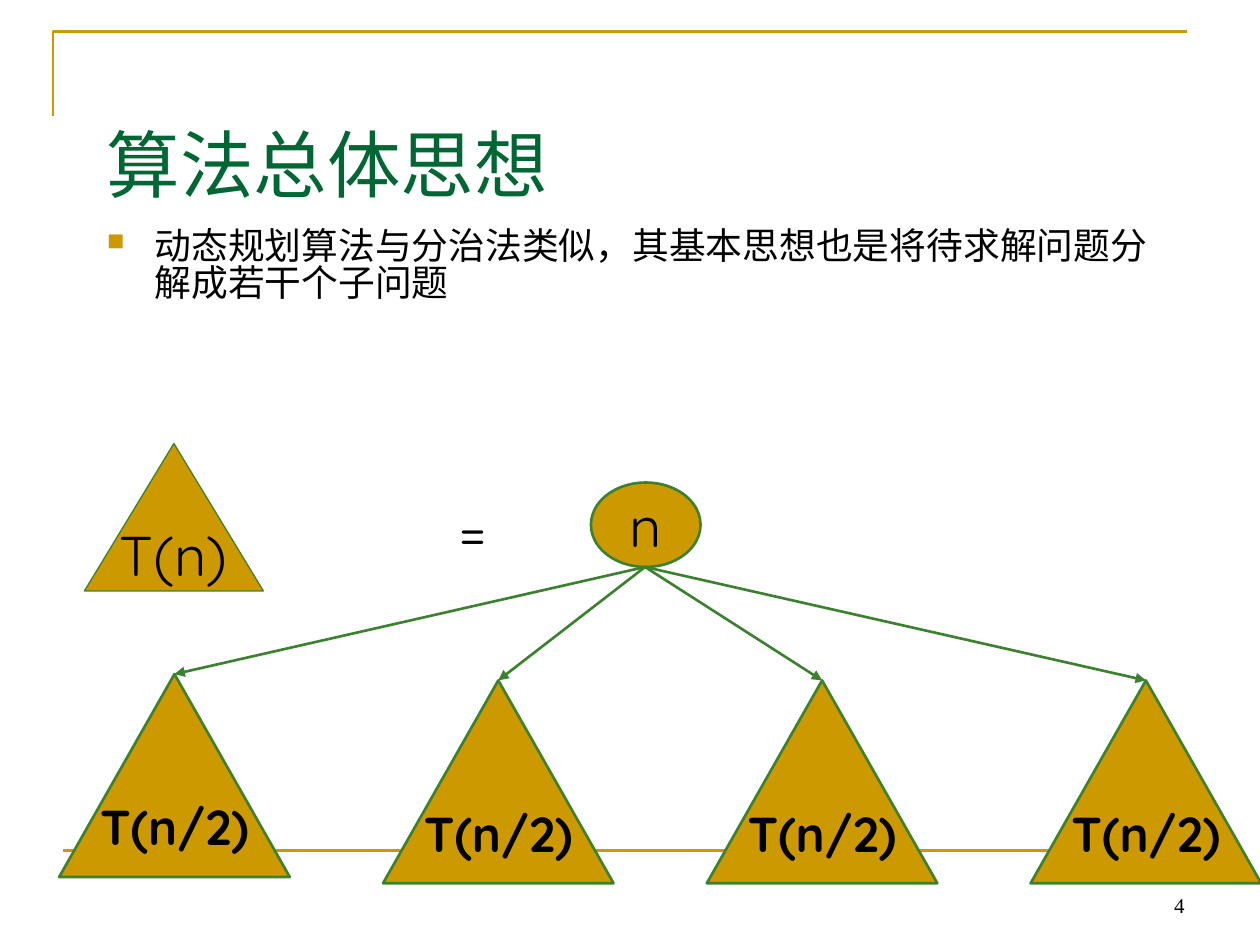
from lxml.etree import SubElement
from pptx import Presentation
from pptx.dml.color import RGBColor
from pptx.enum.shapes import MSO_CONNECTOR as Connector, MSO_SHAPE as Shape
from pptx.enum.text import MSO_ANCHOR as Anchor, PP_ALIGN as Align
from pptx.oxml.ns import qn
from pptx.util import Inches, Pt

GOLD = RGBColor(0xCC, 0x99, 0x00)
GREEN = RGBColor(0x3B, 0x81, 0x2F)
TITLE_GREEN = RGBColor(0x00, 0x66, 0x33)
BLACK = RGBColor(0, 0, 0)
CJK = "Noto Sans CJK SC"
SERIF = "Times New Roman"
ROUND = "Quicksand"


def write(frame, text, size, font, color=BLACK, align=Align.LEFT, anchor=Anchor.TOP, bold=False):
    """Write one run into a text frame and return its paragraph."""
    frame.vertical_anchor = anchor
    paragraph = frame.paragraphs[0]
    paragraph.alignment = align
    run = paragraph.add_run()
    run.text = text
    run.font.size = Pt(size)
    run.font.name = font
    run.font.bold = bold
    run.font.color.rgb = color
    SubElement(run.font._element, qn("a:ea"), typeface=CJK)
    return paragraph


def add_text(slide, box, text, size, font, **style):
    """Add a wrapping text box and return its paragraph."""
    frame = slide.shapes.add_textbox(*map(Inches, box)).text_frame
    frame.word_wrap = True
    return write(frame, text, size, font, **style)


def add_bullet(paragraph):
    """Give a paragraph a hanging gold square bullet."""
    properties = paragraph._p.get_or_add_pPr()
    properties.set("marL", str(Inches(0.38)))
    properties.set("indent", str(-Inches(0.38)))
    color = SubElement(properties, qn("a:buClr"))
    SubElement(color, qn("a:srgbClr"), val=str(GOLD))
    SubElement(properties, qn("a:buSzPct"), val="65000")
    SubElement(properties, qn("a:buChar"), char="■")


def add_node(slide, kind, box, text, size, line_width=1.5, bold=False):
    """Add a gold node of the recursion tree with a centred label."""
    node = slide.shapes.add_shape(kind, *map(Inches, box))
    node.shadow.inherit = False
    node.fill.solid()
    node.fill.fore_color.rgb = GOLD
    node.line.color.rgb = GREEN
    node.line.width = Pt(line_width)
    node.text_frame.word_wrap = False
    write(node.text_frame, text, size, ROUND, align=Align.CENTER, anchor=Anchor.MIDDLE, bold=bold)


def add_line(slide, start, end, color, arrow=False):
    """Add a straight line, with an arrowhead at its end if asked."""
    line = slide.shapes.add_connector(Connector.STRAIGHT, *map(Inches, (*start, *end)))
    line.line.color.rgb = color
    line.line.width = Pt(1.5)
    if arrow:
        SubElement(line.line._get_or_add_ln(), qn("a:tailEnd"), type="triangle")
    SubElement(line._element.spPr, qn("a:effectLst"))


def add_corner(slide):
    """Draw the open gold corner above the title."""
    builder = slide.shapes.build_freeform(Inches(0.42), Inches(0.92))
    builder.add_line_segments([(Inches(0.42), Inches(0.25)), (Inches(9.42), Inches(0.25))], close=False)
    corner = builder.convert_to_shape()
    corner.shadow.inherit = False
    corner.fill.background()
    corner.line.color.rgb = GOLD
    corner.line.width = Pt(1.5)


def add_tree(slide):
    """Draw T(n) as a root n with four subproblems."""
    width, height, pitch = 1.83, 1.61, 2.57
    root_bottom = (5.12, 4.5)
    subproblems = [(0.47 + pitch * i, 5.35 if i == 0 else 5.4) for i in range(4)]
    add_node(slide, Shape.OVAL, (4.69, 3.83, 0.87, 0.67), "n", 32)
    for left, top in subproblems:
        add_line(slide, root_bottom, (left + width / 2, top), GREEN, arrow=True)
    for left, top in subproblems:
        add_node(slide, Shape.ISOSCELES_TRIANGLE, (left, top, width, height), "T(n/2)", 28, bold=True)
    add_node(slide, Shape.ISOSCELES_TRIANGLE, (0.67, 3.52, 1.42, 1.17), "T(n)", 32, line_width=0.75)
    equals = add_text(slide, (3.17, 3.88, 1.17, 0.64), "=", 32, ROUND, align=Align.CENTER)
    equals.space_before = Pt(20)


def main():
    """Build the slide and save it."""
    deck = Presentation()
    deck.slide_width, deck.slide_height = Inches(10), Inches(7.5)
    slide = deck.slides.add_slide(deck.slide_layouts[6])
    add_corner(slide)
    add_line(slide, (0.5, 6.75), (9.5, 6.75), GOLD)
    idea = add_text(slide, (0.75, 1.78, 8.5, 4.5),
                    "动态规划算法与分治法类似，其基本思想也是将待求解问题分解成若干个子问题", 21, CJK)
    idea.space_before = Pt(5.2)
    idea.line_spacing = 0.83
    add_bullet(idea)
    add_text(slide, (0.75, 0.67, 8.5, 1.25), "算法总体思想", 42, SERIF,
             color=TITLE_GREEN, anchor=Anchor.MIDDLE)
    add_tree(slide)
    add_text(slide, (7.17, 6.83, 2.33, 0.5), "4", 12, SERIF, align=Align.RIGHT, anchor=Anchor.BOTTOM)
    deck.save("out.pptx")


if __name__ == "__main__":
    main()
